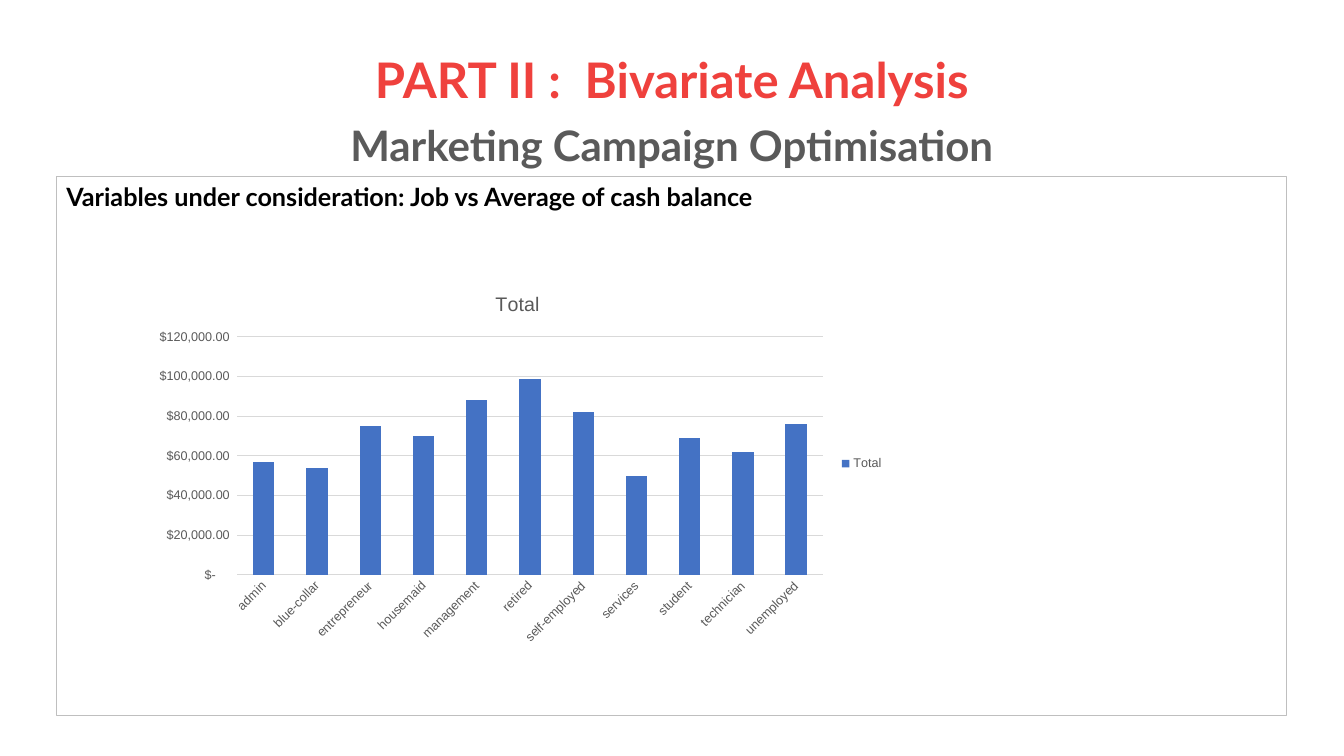
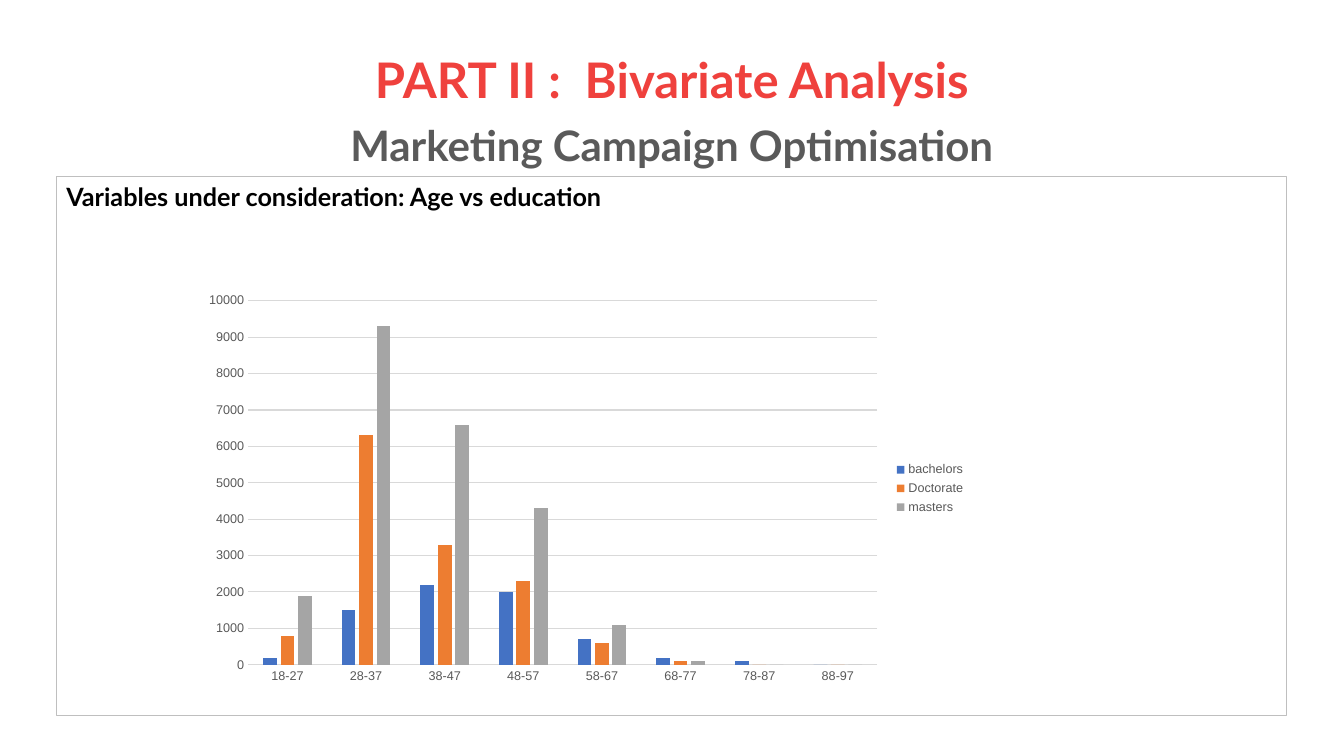
from dataclasses import dataclass

from pptx import Presentation
from pptx.chart.data import CategoryChartData
from pptx.dml.color import RGBColor
from pptx.enum.chart import XL_CHART_TYPE, XL_LEGEND_POSITION, XL_TICK_MARK
from pptx.enum.shapes import MSO_SHAPE
from pptx.enum.text import MSO_ANCHOR, PP_ALIGN
from pptx.util import Pt


@dataclass(frozen=True)
class Theme:
    red: str = "EF413D"
    grey: str = "5A5A5A"
    black: str = "000000"
    border: str = "BFBFBF"
    chart_text: str = "595959"
    grid: str = "D9D9D9"
    series: tuple = ("4472C4", "ED7D31", "A5A5A5")
    text_font: str = "Lato"
    chart_font: str = "Arial"
    title: int = 35
    subtitle: int = 30
    heading: int = 18
    chart_title: int = 14
    label: int = 9
    hairline: float = 0.75


DOLLARS = ('_([$$-409]* #,##0.00_);_([$$-409]* \\(#,##0.00\\);'
           '_([$$-409]* "-"??_);_(@_)')


class Deck:
    def __init__(self, theme):
        self.t = theme
        self.prs = Presentation()
        self.prs.slide_width, self.prs.slide_height = Pt(960), Pt(540)
        self.s = None

    def font(self, font, size, color, name, bold=False):
        font.size, font.name, font.bold = Pt(size), name, bold
        font.color.rgb = RGBColor.from_string(color)

    def line(self, line, color):
        line.color.rgb = RGBColor.from_string(color)
        line.width = Pt(self.t.hairline)

    def slide(self, heading):
        """Add a slide with the shared title and the framed heading."""
        self.s = self.prs.slides.add_slide(self.prs.slide_layouts[6])
        self.title("PART II :  Bivariate Analysis", "Marketing Campaign Optimisation")
        self.frame(heading)

    def title(self, title, subtitle):
        tf = self.s.shapes.add_textbox(Pt(66), Pt(29), Pt(828), Pt(104)).text_frame
        tf.word_wrap = True
        tf.vertical_anchor = MSO_ANCHOR.MIDDLE
        tf.text = f"{title}\n{subtitle}"
        styles = ((self.t.title, self.t.red), (self.t.subtitle, self.t.grey))
        for p, (size, color) in zip(tf.paragraphs, styles):
            p.alignment = PP_ALIGN.CENTER
            p.line_spacing = 0.9
            self.font(p.runs[0].font, size, color, self.t.text_font, True)
        tf.paragraphs[1].space_before = Pt(11)

    def frame(self, heading):
        sp = self.s.shapes.add_shape(MSO_SHAPE.RECTANGLE, Pt(40.3), Pt(126), Pt(879), Pt(385))
        sp.shadow.inherit = False
        sp.fill.background()
        self.line(sp.line, self.t.border)
        tf = sp.text_frame
        tf.word_wrap = True
        tf.vertical_anchor = MSO_ANCHOR.TOP
        tf.text = heading
        p = tf.paragraphs[0]
        p.alignment = PP_ALIGN.LEFT
        self.font(p.runs[0].font, self.t.heading, self.t.black, self.t.text_font, True)

    def columns(self, box, kind, categories, series, gap, overlap,
                title=None, number_format="General", slanted=False):
        t = self.t
        data = CategoryChartData(number_format=number_format)
        data.categories = categories
        for name, values in series.items():
            data.add_series(name, values)
        chart = self.s.shapes.add_chart(kind, *map(Pt, box), data).chart
        self.font(chart.font, t.label, t.chart_text, t.chart_font)

        chart.has_title = title is not None
        if title:
            tf = chart.chart_title.text_frame
            tf.text = title
            self.font(tf.paragraphs[0].runs[0].font, t.chart_title, t.chart_text, t.chart_font)

        chart.has_legend = True
        chart.legend.position = XL_LEGEND_POSITION.RIGHT
        chart.legend.include_in_layout = False
        self.font(chart.legend.font, t.label, t.chart_text, t.chart_font)

        plot = chart.plots[0]
        plot.gap_width, plot.overlap = gap, overlap
        plot.vary_by_categories = False
        for ser, color in zip(plot.series, t.series):
            ser.format.fill.solid()
            ser.format.fill.fore_color.rgb = RGBColor.from_string(color)

        cat, val = chart.category_axis, chart.value_axis
        for axis in (cat, val):
            axis.major_tick_mark = axis.minor_tick_mark = XL_TICK_MARK.NONE
            self.font(axis.tick_labels.font, t.label, t.chart_text, t.chart_font)
        self.line(cat.format.line, t.grid)
        val.format.line.fill.background()
        val.has_major_gridlines = True
        self.line(val.major_gridlines.format.line, t.grid)
        val.tick_labels.number_format = number_format
        val.tick_labels.number_format_is_linked = False
        if slanted:
            body = cat._element.xpath("c:txPr/a:bodyPr")[0]
            body.set("rot", "-2700000")
            body.set("vert", "horz")


def main():
    deck = Deck(Theme())

    deck.slide("Variables under consideration: Job vs Average of cash balance")
    deck.columns(
        (100.8, 196.6, 537.8, 269.3), XL_CHART_TYPE.COLUMN_STACKED,
        ["admin", "blue-collar", "entrepreneur", "housemaid", "management", "retired",
         "self-employed", "services", "student", "technician", "unemployed"],
        {"Total": [57000, 54000, 75000, 70000, 88000, 99000,
                   82000, 50000, 69000, 62000, 76000]},
        gap=150, overlap=100, title="Total", number_format=DOLLARS, slanted=True)

    deck.slide("Variables under consideration: Age vs education")
    deck.columns(
        (138.2, 203.8, 558.7, 290.2), XL_CHART_TYPE.COLUMN_CLUSTERED,
        [f"{age}-{age + 9}" if age != 38 else "38-47" for age in range(18, 98, 10)],
        {"bachelors": [200, 1500, 2200, 2000, 700, 200, 100, 0],
         "Doctorate": [800, 6300, 3300, 2300, 600, 100, 0, 0],
         "masters": [1900, 9300, 6600, 4300, 1100, 100, 0, 0]},
        gap=219, overlap=-27)

    deck.prs.save("out.pptx")


if __name__ == "__main__":
    main()
